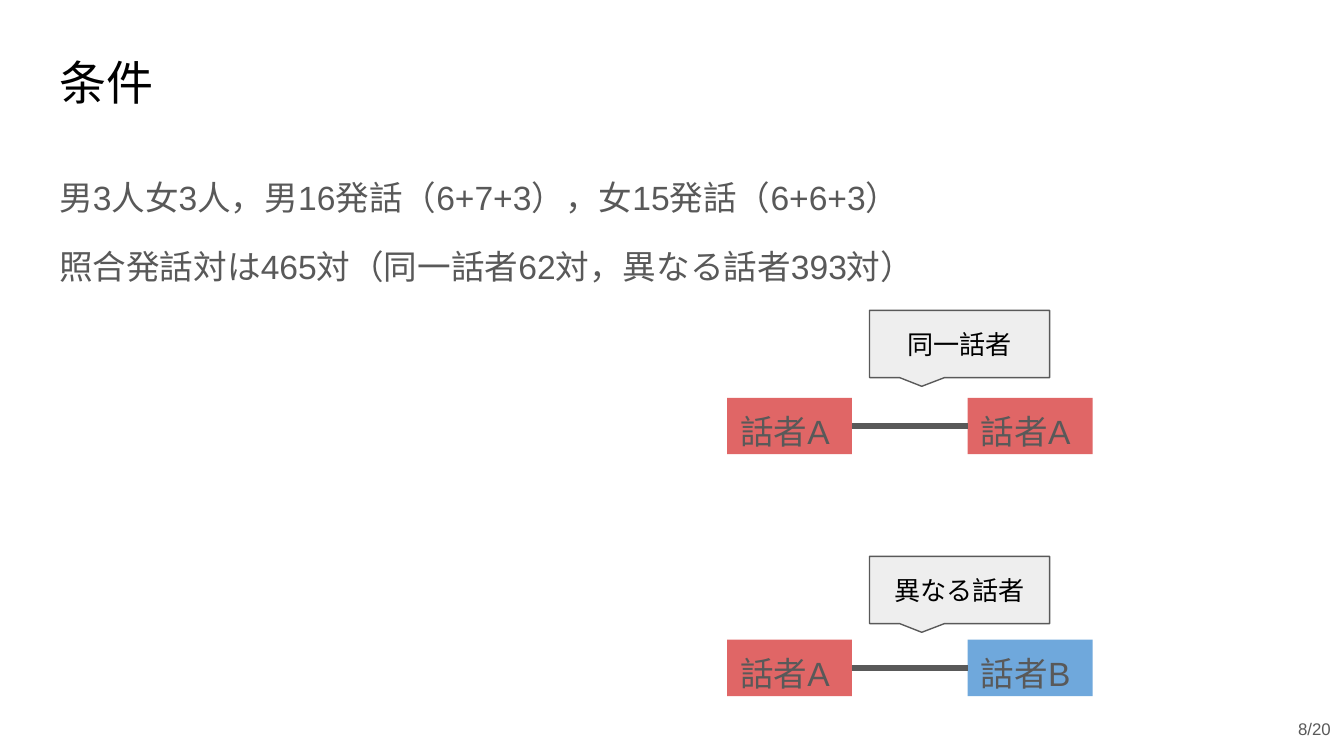
from lxml import etree
from pptx import Presentation
from pptx.dml.color import RGBColor
from pptx.enum.shapes import MSO_CONNECTOR, MSO_SHAPE
from pptx.enum.text import MSO_ANCHOR, MSO_AUTO_SIZE, PP_ALIGN
from pptx.oxml.ns import qn
from pptx.util import Inches, Pt

RECT, CALLOUT = MSO_SHAPE.RECTANGLE, MSO_SHAPE.RECTANGULAR_CALLOUT
STRAIGHT = MSO_CONNECTOR.STRAIGHT
TOP, MIDDLE = MSO_ANCHOR.TOP, MSO_ANCHOR.MIDDLE
LEFT, CENTER, RIGHT = PP_ALIGN.LEFT, PP_ALIGN.CENTER, PP_ALIGN.RIGHT
FIXED = MSO_AUTO_SIZE.NONE

BLACK = RGBColor(0x00, 0x00, 0x00)
GRAY = RGBColor(0x59, 0x59, 0x59)
PALE = RGBColor(0xEE, 0xEE, 0xEE)
RED = RGBColor(0xE0, 0x66, 0x66)
BLUE = RGBColor(0x6F, 0xA8, 0xDC)

FONT = "Arial"
WIDTH = 10
HEIGHT = WIDTH * 9 / 16
BOX_W, BOX_H = 0.93, 0.42
BOX_X = (5.41, 7.2)


def set_frame(shape, anchor=TOP):
    frame = shape.text_frame
    frame.word_wrap = True
    frame.auto_size = FIXED
    frame.vertical_anchor = anchor
    frame.margin_left = frame.margin_right = Inches(0.1)
    frame.margin_top = frame.margin_bottom = Inches(0.1)
    return frame


def add_run(para, text, size, color, align=LEFT):
    para.alignment = align
    run = para.add_run()
    run.text = text
    run.font.name = FONT
    run.font.size = Pt(size)
    run.font.color.rgb = color


def place(shape, x, y, w, h):
    shape.left, shape.top = Inches(x), Inches(y)
    shape.width, shape.height = Inches(w), Inches(h)


def add_title(slide, text):
    title = slide.shapes.title
    place(title, 0.34, 0.3, 9.32, 0.63)
    add_run(set_frame(title).paragraphs[0], text, 25.2, BLACK)


def add_body(slide, lines):
    body = slide.placeholders[1]
    place(body, 0.34, 1.17, 9.32, 4.45)
    frame = set_frame(body)
    for i, text in enumerate(lines):
        para = frame.add_paragraph() if i else frame.paragraphs[0]
        props = para._p.get_or_add_pPr()
        props.set("marL", "0")
        props.set("indent", "0")
        etree.SubElement(props, qn("a:buNone"))
        para.line_spacing = 1.15
        para.space_before = Pt(12 if i else 0)
        add_run(para, text, 18, GRAY)


def add_box(slide, x, y, text, fill):
    box = slide.shapes.add_shape(
        RECT, Inches(x), Inches(y), Inches(BOX_W), Inches(BOX_H))
    box.shadow.inherit = False
    box.fill.solid()
    box.fill.fore_color.rgb = fill
    box.line.fill.background()
    add_run(set_frame(box).paragraphs[0], text, 18, GRAY)


def add_link(slide, y):
    link = slide.shapes.add_connector(
        STRAIGHT, Inches(BOX_X[0] + BOX_W), Inches(y),
        Inches(BOX_X[1]), Inches(y))
    link.line.color.rgb = GRAY
    link.line.width = Pt(3)
    etree.SubElement(link._element.spPr, qn("a:effectLst"))


def add_callout(slide, y, text):
    note = slide.shapes.add_shape(
        CALLOUT, Inches(6.47), Inches(y), Inches(1.34), Inches(0.5))
    note.adjustments[0], note.adjustments[1] = -0.21, 0.63
    note.shadow.inherit = False
    note.fill.solid()
    note.fill.fore_color.rgb = PALE
    note.line.color.rgb = GRAY
    note.line.width = Pt(0.75)
    frame = set_frame(note, MIDDLE)
    add_run(frame.paragraphs[0], text, 14, BLACK, CENTER)


def add_pair(slide, y, note_y, note, boxes):
    for x, (text, fill) in zip(BOX_X, boxes):
        add_box(slide, x, y, text, fill)
    add_link(slide, y + BOX_H / 2)
    add_callout(slide, note_y, note)


def add_number(slide, text):
    box = slide.shapes.add_textbox(
        Inches(8.97), Inches(5.25), Inches(1.03), Inches(0.35))
    add_run(set_frame(box).paragraphs[0], text, 9, GRAY, RIGHT)


def main():
    deck = Presentation()
    deck.slide_width, deck.slide_height = Inches(WIDTH), Inches(HEIGHT)
    slide = deck.slides.add_slide(deck.slide_layouts[1])

    # Title and conditions
    add_title(slide, "条件")
    add_body(slide, [
        "男3人女3人，男16発話（6+7+3），女15発話（6+6+3）",
        "照合発話対は465対（同一話者62対，異なる話者393対）",
    ])

    # Speaker pairs
    first = ("話者A", RED)
    add_pair(slide, 2.96, 2.31, "同一話者", (first, first))
    add_pair(slide, 4.76, 4.14, "異なる話者", (first, ("話者B", BLUE)))

    # Page number
    add_number(slide, "8/20")
    deck.save("out.pptx")


if __name__ == "__main__":
    main()
